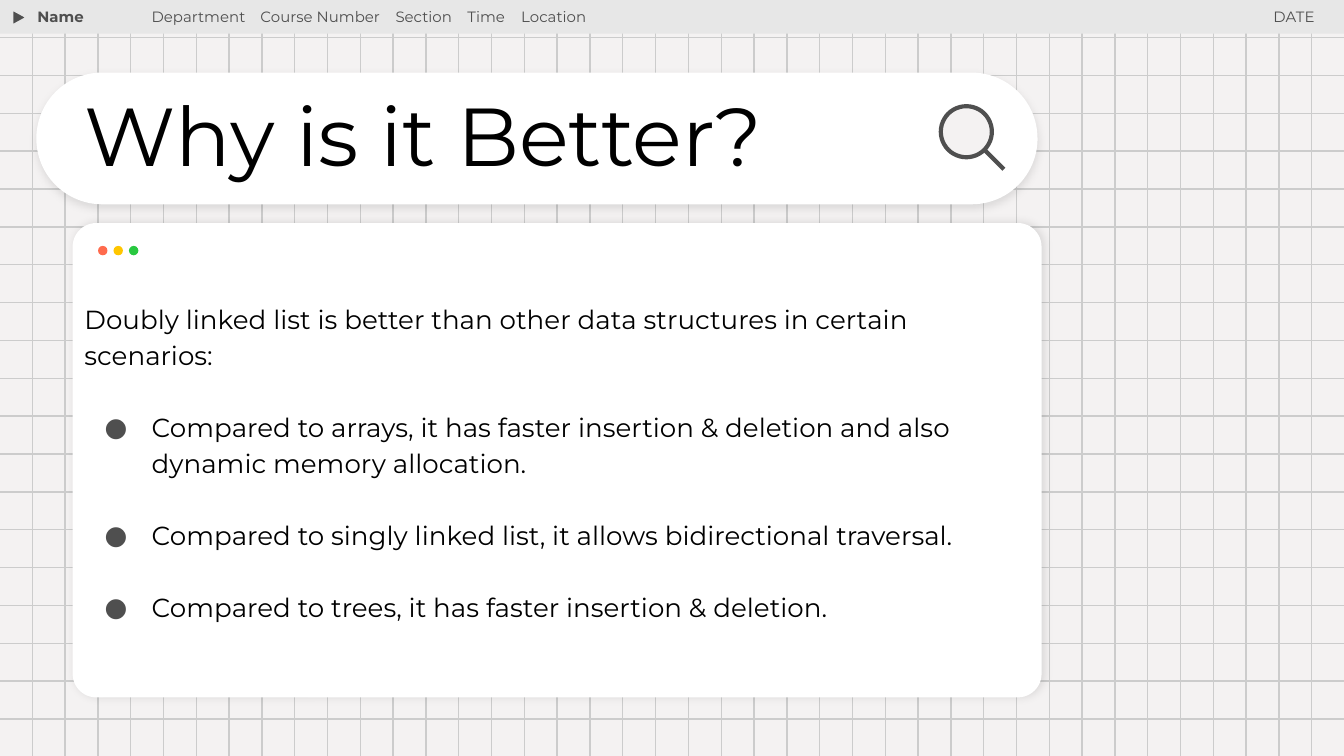
from dataclasses import dataclass
from typing import Optional

from lxml.etree import SubElement
from pptx import Presentation
from pptx.dml.color import RGBColor
from pptx.enum.shapes import MSO_CONNECTOR as Connector, MSO_SHAPE as Preset
from pptx.enum.text import MSO_ANCHOR as Anchor, MSO_AUTO_SIZE as AutoSize, PP_ALIGN as Align
from pptx.oxml.ns import qn
from pptx.util import Inches, Pt

WIDTH = Inches(10)
HEIGHT = WIDTH * 9 // 16
COLUMNS = 1000
CELL = WIDTH / COLUMNS
ROWS = HEIGHT / CELL
FONT = "Montserrat"
INK, GREY, PAPER, BAR, WHITE = "000000", "4F4F4F", "F4F2F2", "E7E7E7", "FFFFFF"


@dataclass(frozen=True)
class Box:
    column: float
    row: float
    columns: float
    rows: float

    def emu(self) -> tuple:
        return tuple(cells(n) for n in (self.column, self.row, self.columns, self.rows))


@dataclass(frozen=True)
class Style:
    size: float
    color: str = INK
    bold: bool = False
    align: Align = Align.LEFT
    spacing: float = 1.0


@dataclass(frozen=True)
class Shadow:
    opacity: int
    angle: int


@dataclass(frozen=True)
class HeaderLabel:
    box: Box
    words: tuple
    style: Style
    stops: tuple = ()


def cells(count: float) -> int:
    return round(count * CELL)


def rgb(color: str) -> RGBColor:
    return RGBColor.from_string(color)


def add_shadow(shape, shadow: Shadow) -> None:
    effects = shape.element.spPr.find(qn("a:effectLst"))
    outer = SubElement(effects, qn("a:outerShdw"), blurRad=str(Pt(4.5)), dist=str(Pt(1.5)),
                       dir=str(shadow.angle * 60000), algn="bl", rotWithShape="0")
    tint = SubElement(outer, qn("a:srgbClr"), val=INK)
    SubElement(tint, qn("a:alpha"), val=str(shadow.opacity * 1000))


def add_preset(shapes, preset: Preset, box: Box, fill: str, line: Optional[str] = None,
               weight: float = 0.75, corner: Optional[float] = None,
               shadow: Optional[Shadow] = None):
    shape = shapes.add_shape(preset, *box.emu())
    shape.shadow.inherit = False
    shape.fill.solid()
    shape.fill.fore_color.rgb = rgb(fill)
    if line:
        shape.line.color.rgb = rgb(line)
        shape.line.width = Pt(weight)
    else:
        shape.line.fill.background()
    if corner is not None:
        shape.adjustments[0] = corner
    if shadow:
        add_shadow(shape, shadow)
    return shape


def add_line(shapes, start: tuple, end: tuple, color: str, weight: float) -> None:
    line = shapes.add_connector(Connector.STRAIGHT, *(cells(n) for n in start + end))
    line.line.color.rgb = rgb(color)
    line.line.width = Pt(weight)
    SubElement(line.element.spPr, qn("a:effectLst"))


def add_grid(shapes) -> None:
    for index in range(19):
        row = 28 + index * 507 / 18
        add_line(shapes, (-1, row), (COLUMNS, row), "CCCCCC", 0.75)
    for index in range(40):
        column = 24 + index * 952 / 39
        add_line(shapes, (column, 0), (column, ROWS), "CCCCCC", 0.75)


def prepare_frame(shape):
    frame = shape.text_frame
    frame.word_wrap = True
    frame.auto_size = AutoSize.NONE
    frame.vertical_anchor = Anchor.TOP
    frame.margin_left = frame.margin_right = Inches(0.1)
    frame.margin_top = frame.margin_bottom = Inches(0.1)
    return frame


def write(para, text: str, style: Style) -> None:
    para.alignment = style.align
    para.line_spacing = style.spacing
    span = para.add_run()
    span.text = text
    span.font.name = FONT
    span.font.size = Pt(style.size)
    span.font.bold = style.bold
    span.font.color.rgb = rgb(style.color)


def add_bullet(para) -> None:
    props = para._p.get_or_add_pPr()
    props.set("marL", str(Inches(0.5)))
    props.set("indent", str(-Inches(0.35)))
    color = SubElement(props, qn("a:buClr"))
    SubElement(color, qn("a:srgbClr"), val=GREY)
    SubElement(props, qn("a:buFont"), typeface=FONT)
    SubElement(props, qn("a:buChar"), char="●")


def add_header_label(shapes, label: HeaderLabel) -> None:
    frame = prepare_frame(shapes.add_textbox(*label.box.emu()))
    para = frame.paragraphs[0]
    write(para, "\t".join(label.words), label.style)
    if label.stops:
        tabs = SubElement(para._p.get_or_add_pPr(), qn("a:tabLst"))
        for stop in label.stops:
            SubElement(tabs, qn("a:tab"), pos=str(cells(stop)), algn="l")


def add_argument(shapes, box: Box, intro: str, reasons: tuple) -> None:
    style = Style(14, spacing=1.15)
    frame = prepare_frame(shapes.add_textbox(*box.emu()))
    para = frame.paragraphs[0]
    write(para, intro, style)
    for reason in reasons:
        para.space_after = Pt(19.3)
        para = frame.add_paragraph()
        write(para, reason, style)
        add_bullet(para)


def place_title(page, box: Box, text: str) -> None:
    title = page.shapes.title
    title.left, title.top, title.width, title.height = box.emu()
    write(prepare_frame(title).paragraphs[0], text, Style(44, spacing=0.9))
    title.element.getparent().append(title.element)


def main() -> None:
    deck = Presentation()
    deck.slide_width, deck.slide_height = WIDTH, HEIGHT
    page = deck.slides.add_slide(deck.slide_layouts[5])
    page.background.fill.solid()
    page.background.fill.fore_color.rgb = rgb(PAPER)
    shapes = page.shapes

    add_grid(shapes)
    add_preset(shapes, Preset.RECTANGLE, Box(-1, 0, 1001, 25), BAR)
    marker = add_preset(shapes, Preset.ISOSCELES_TRIANGLE, Box(9, 8, 11, 10), GREY, BAR)
    marker.rotation = 90
    add_preset(shapes, Preset.ROUNDED_RECTANGLE, Box(27, 54, 745, 98), WHITE,
               corner=0.5, shadow=Shadow(10, 90))
    add_preset(shapes, Preset.ROUNDED_RECTANGLE, Box(54, 166, 721, 353), WHITE,
               corner=0.05, shadow=Shadow(11, 0))

    add_argument(
        shapes, Box(53, 212, 721, 261),
        "Doubly linked list is better than other data structures in certain scenarios:",
        ("Compared to arrays, it has faster insertion & deletion and also "
         "dynamic memory allocation.",
         "Compared to singly linked list, it allows bidirectional traversal.",
         "Compared to trees, it has faster insertion & deletion."))

    window_buttons = shapes.add_group_shape().shapes
    for index, color in enumerate(("FF6B4D", "FFC600", "28C840")):
        add_preset(window_buttons, Preset.OVAL, Box(73 + index * 11.5, 183, 7, 7), color)

    small = Style(8, GREY)
    for label in (
        HeaderLabel(Box(18, -4, 128, 34), ("Name",), Style(8, GREY, bold=True)),
        HeaderLabel(Box(103, -4, 417, 47),
                    ("Department", "Course Number", "Section", "Time", "Location"),
                    small, (81, 181.5, 235, 275)),
        HeaderLabel(Box(821, -4, 167, 47), ("DATE",), Style(8, GREY, align=Align.RIGHT)),
    ):
        add_header_label(shapes, label)

    place_title(page, Box(53, 61, 569, 87), "Why is it Better?")

    magnifier = shapes.add_group_shape().shapes
    add_preset(magnifier, Preset.OVAL, Box(700, 79, 38, 38), PAPER, GREY, 2.25)
    add_line(magnifier, (732, 111), (747, 126), GREY, 2.25)
    deck.save("out.pptx")


if __name__ == "__main__":
    main()
